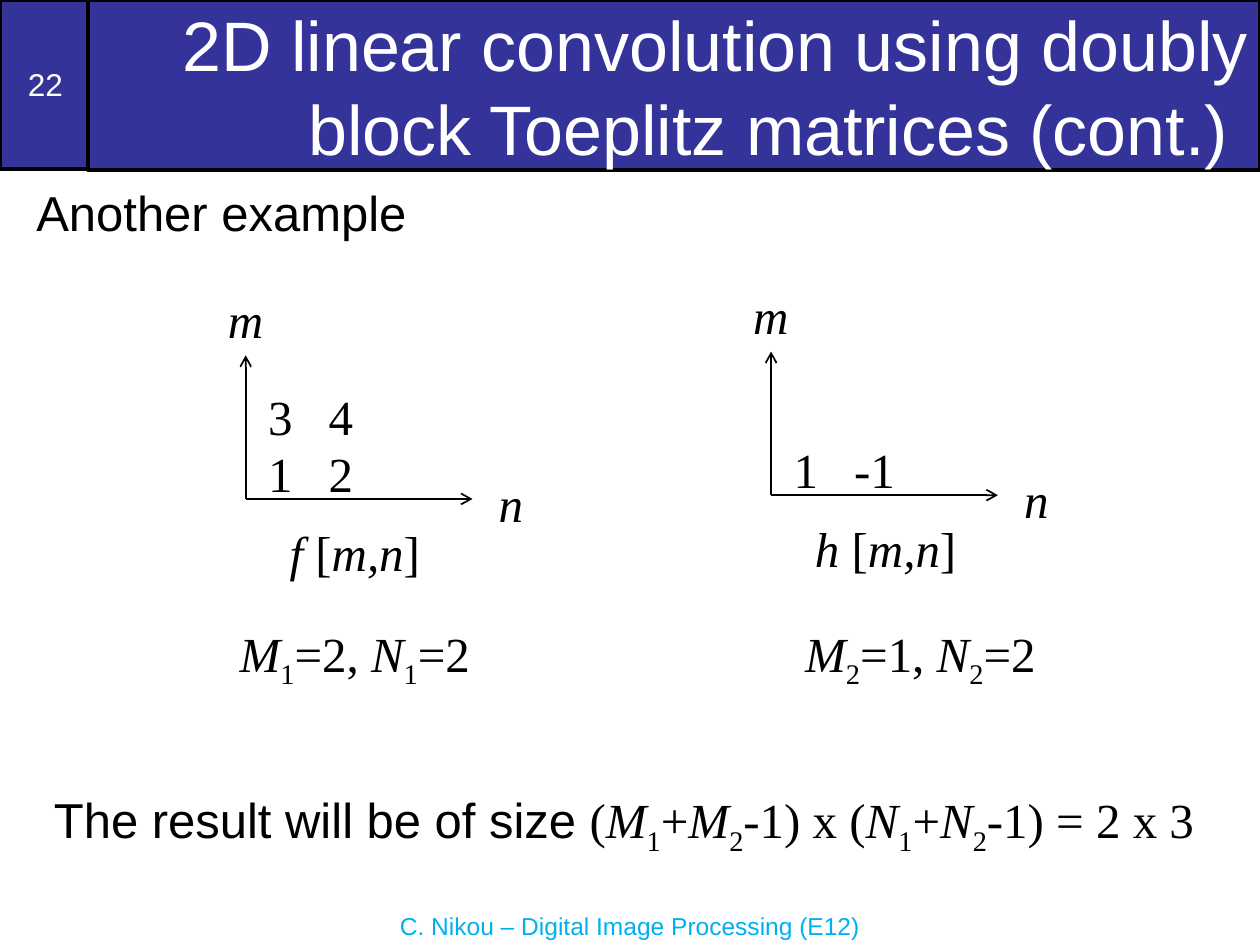
from dataclasses import dataclass
from typing import NamedTuple

from lxml import etree
from pptx import Presentation
from pptx.dml.color import RGBColor
from pptx.enum import shapes, text
from pptx.oxml.ns import qn
from pptx.util import Inches, Pt

COLORS = {"band": "333399", "ink": "000000", "paper": "FFFFFF", "footer": "00B0F0"}
SANS, SERIF = "Arial", "Times New Roman"
LINE_HEIGHT = 0.57
SUBSCRIPT_LINE_HEIGHT = 0.63
AXIS_WIDTH, AXIS_HEIGHT = 1.8, 1.14
COLUMN_GAP, ROW_GAP = 0.48, 0.45


class Piece(NamedTuple):
    text: str
    italic: bool = False
    subscript: bool = False
    font: str = SERIF


@dataclass
class Signal:
    name: str
    origin: tuple[float, float]
    rows: list[list[str]]  # bottom row first
    caption_width: float


@dataclass
class Formula:
    box: tuple[float, float, float, float]
    pieces: list[Piece]
    alignment: text.PP_ALIGN = text.PP_ALIGN.LEFT


SIGNALS = [
    Signal("f", (1.95, 3.96), [["1", "2"], ["3", "4"]], 1.44),
    Signal("h", (6.12, 3.93), [["1", "-1"]], 1.67),
]


def color(name: str) -> RGBColor:
    return RGBColor.from_string(COLORS[name])


def indexed(name: str, index: int) -> list[Piece]:
    return [Piece(name, italic=True), Piece(str(index), subscript=True)]


def size_pieces(index: int, height: int, width: int) -> list[Piece]:
    return [*indexed("M", index), Piece(f"={height}, "),
            *indexed("N", index), Piece(f"={width}")]


def sum_pieces(name: str) -> list[Piece]:
    return [*indexed(name, 1), Piece("+"), *indexed(name, 2)]


FORMULAS = [
    Formula((1.49, 4.9, 2.65, SUBSCRIPT_LINE_HEIGHT), size_pieces(1, 2, 2),
            text.PP_ALIGN.CENTER),
    Formula((5.99, 4.9, 2.63, SUBSCRIPT_LINE_HEIGHT), size_pieces(2, 1, 2),
            text.PP_ALIGN.CENTER),
    Formula((0.33, 6.22, 9.39, SUBSCRIPT_LINE_HEIGHT),
            [Piece("The result will be of size ", font=SANS), Piece("("),
             *sum_pieces("M"), Piece("-1) x ("),
             *sum_pieces("N"), Piece("-1) = 2 x 3")]),
]


def add_text(parent, box, pieces: list[Piece], alignment=text.PP_ALIGN.LEFT,
             size: float = 28, ink: str = "ink") -> None:
    shape = parent.add_textbox(*map(Inches, box))
    frame = shape.text_frame
    frame.word_wrap = True
    frame.auto_size = text.MSO_AUTO_SIZE.SHAPE_TO_FIT_TEXT
    paragraph = frame.paragraphs[0]
    paragraph.alignment = alignment
    for piece in pieces:
        run = paragraph.add_run()
        run.text = piece.text
        run.font.name = piece.font
        run.font.size = Pt(size)
        run.font.italic = piece.italic
        run.font.color.rgb = color(ink)
        if piece.subscript:
            run._r.get_or_add_rPr().set("baseline", "-25000")


def add_arrow(parent, start: tuple[float, float], end: tuple[float, float]) -> None:
    arrow = parent.add_connector(shapes.MSO_CONNECTOR.STRAIGHT,
                                 *map(Inches, (*start, *end)))
    arrow.line.color.rgb = color("ink")
    arrow.line.width = Pt(1)
    properties = arrow.element.spPr
    etree.SubElement(properties.find(qn("a:ln")), qn("a:tailEnd"), type="arrow")
    etree.SubElement(properties, qn("a:effectLst"))


def add_signal(slide, signal: Signal) -> None:
    """Draw the axes, samples and caption of one signal as a group."""
    group = slide.shapes.add_group_shape().shapes
    x, y = signal.origin
    add_text(group, (x - 0.24, y - 1.71, 0.53, LINE_HEIGHT), [Piece("m", italic=True)])
    add_arrow(group, (x, y), (x + AXIS_WIDTH, y))
    add_arrow(group, (x, y), (x, y - AXIS_HEIGHT))
    add_text(group, (x + 1.91, y - 0.25, 0.4, LINE_HEIGHT), [Piece("n", italic=True)])
    for row, values in enumerate(signal.rows):
        for column, value in enumerate(values):
            left = x + 0.08 + column * COLUMN_GAP
            top = y - 0.49 - row * ROW_GAP
            width = 0.2 + 0.2 * len(value)
            add_text(group, (left, top, width, LINE_HEIGHT), [Piece(value)])
    add_text(group, (x + 0.25, y + 0.14, signal.caption_width, LINE_HEIGHT),
             [Piece(f"{signal.name} ", italic=True), Piece("["),
              Piece("m,n", italic=True), Piece("]")])


def style_band(shape, wording: str, size: float, alignment) -> None:
    """Fill a header box and set its white text."""
    shape.fill.solid()
    shape.fill.fore_color.rgb = color("band")
    shape.line.color.rgb = color("ink")
    shape.line.width = Pt(2)
    frame = shape.text_frame
    frame.text = wording
    frame.word_wrap = True
    frame.auto_size = text.MSO_AUTO_SIZE.NONE
    frame.vertical_anchor = text.MSO_ANCHOR.MIDDLE
    paragraph = frame.paragraphs[0]
    paragraph.alignment = alignment
    font = paragraph.runs[0].font
    font.name = SANS
    font.size = Pt(size)
    font.color.rgb = color("paper")


def add_header(slide) -> None:
    title = slide.shapes.title
    title.left, title.top, title.width, title.height = map(Inches, (0.7, 0, 9.3, 1.35))
    style_band(title, "2D linear convolution using doubly block Toeplitz matrices (cont.) ",
               40, text.PP_ALIGN.RIGHT)
    number = slide.shapes.add_shape(shapes.MSO_SHAPE.RECTANGLE,
                                    *map(Inches, (0, 0, 0.72, 1.34)))
    number.shadow.inherit = False
    style_band(number, "22", 18, text.PP_ALIGN.CENTER)
    title.element.addprevious(number.element)  # the title overlaps the number box


def main() -> None:
    presentation = Presentation()
    presentation.slide_width, presentation.slide_height = Inches(10), Inches(7.5)
    slide = presentation.slides.add_slide(
        presentation.slide_layouts.get_by_name("Title Only"))
    add_header(slide)
    add_text(slide.shapes, (0, 7.18, 10, 0.34),
             [Piece("C. Nikou – Digital Image Processing (E12)", font=SANS)],
             text.PP_ALIGN.CENTER, 14, "footer")
    for signal in SIGNALS:
        add_signal(slide, signal)
    for formula in FORMULAS:
        add_text(slide.shapes, formula.box, formula.pieces, formula.alignment)
    add_text(slide.shapes, (0.19, 1.4, 3.42, LINE_HEIGHT),
             [Piece("Another example", font=SANS)])
    presentation.save("out.pptx")


if __name__ == "__main__":
    main()
